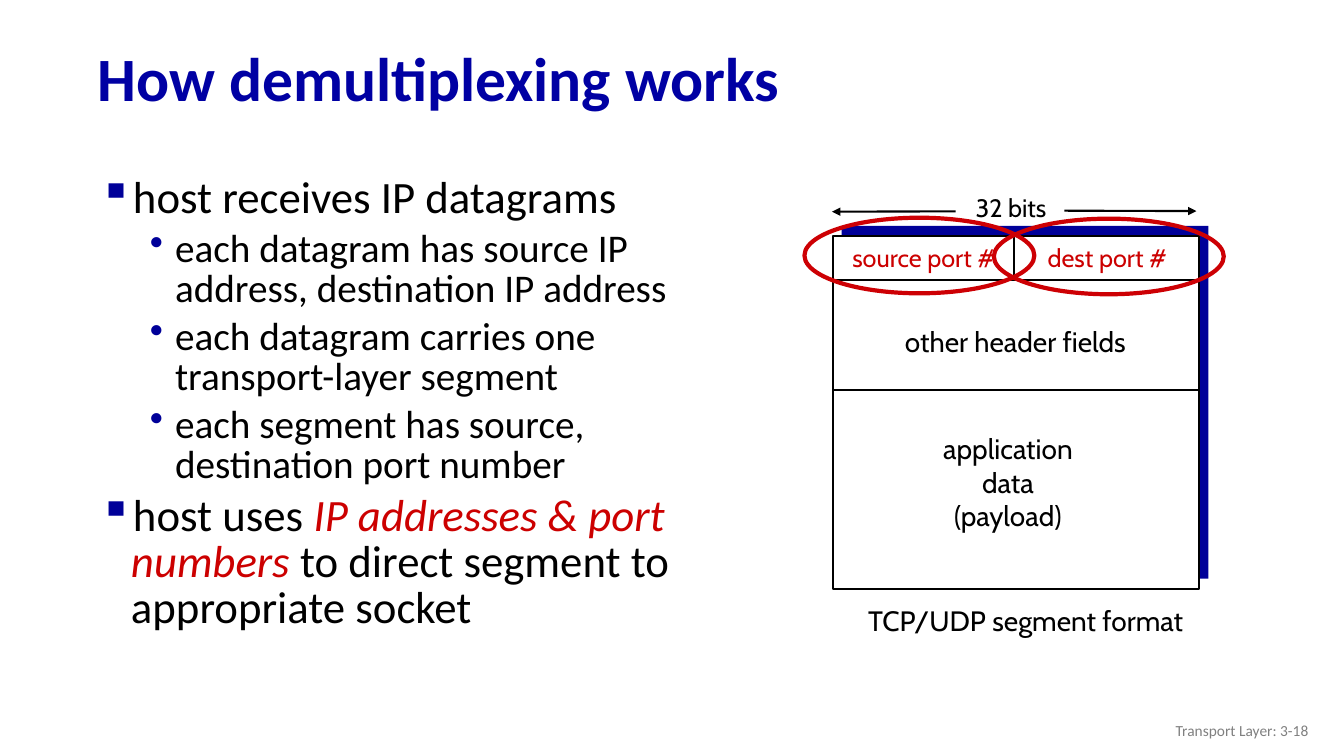
"""Build the slide on how transport-layer demultiplexing works."""
from dataclasses import dataclass

from lxml import etree
from pptx import Presentation
from pptx.dml.color import RGBColor
from pptx.enum import shapes, text
from pptx.oxml import ns
from pptx.util import Pt

BLACK, NAVY, RED, RING_RED, GRAY = "000000", "000099", "CC0000", "CD0004", "808080"
LEFT, CENTER, RIGHT = text.PP_ALIGN.LEFT, text.PP_ALIGN.CENTER, text.PP_ALIGN.RIGHT

SEGMENT_LEFT, SEGMENT_TOP, SEGMENT_WIDTH, SEGMENT_HEIGHT = 594.7, 168.5, 262, 252
SEGMENT_RIGHT = SEGMENT_LEFT + SEGMENT_WIDTH
PORTS_BOTTOM, HEADER_BOTTOM, PORT_DIVIDER = 200.2, 278.6, 724.3


@dataclass
class Label:
    words: str
    left: float
    top: float
    width: float
    height: float
    size: float
    color: str = BLACK
    font: str = "Cabin"
    align: text.PP_ALIGN = CENTER
    bold: bool = False
    wrap: bool = False
    middle: bool = False
    spacing: float = 1.0


@dataclass
class Block:
    kind: shapes.MSO_SHAPE
    left: float
    top: float
    width: float
    height: float
    fill: str | None = None
    line: str | None = None
    weight: float = 1.5


@dataclass
class Rule:
    x1: float
    y1: float
    x2: float
    y2: float
    arrow: bool = False


@dataclass
class Level:
    mark: str
    margin: float
    hanging: float
    size: float


@dataclass
class Point:
    level: Level
    runs: list[str]


MAIN = Level("▪", 22.5, 22.5, 32)
SUB = Level("•", 54, 18, 28)

POINTS = [
    Point(MAIN, ["host receives IP datagrams"]),
    Point(SUB, ["each datagram has source IP address, destination IP address"]),
    Point(SUB, ["each datagram carries one transport-layer segment"]),
    Point(SUB, ["each segment has source, destination port number"]),
    Point(MAIN, ["host uses ", "IP addresses & port numbers",
                 " to direct segment to appropriate socket"]),
]

HEADING = Label("How demultiplexing works", 62.6, 23, 874, 70.6, 44, "0000A3",
                "Calibri", LEFT, bold=True, wrap=True, middle=True, spacing=0.9)
FOOTER = Label("Transport Layer: 3-18", 725.8, 507.6, 216, 28.8, 11, GRAY,
               "Calibri", RIGHT, wrap=True, middle=True)

SEGMENT_BLOCKS = [
    Block(shapes.MSO_SHAPE.RECTANGLE, SEGMENT_LEFT + 6.5, SEGMENT_TOP - 7.2,
          SEGMENT_WIDTH, SEGMENT_HEIGHT, fill=NAVY),
    Block(shapes.MSO_SHAPE.RECTANGLE, SEGMENT_LEFT, SEGMENT_TOP,
          SEGMENT_WIDTH, SEGMENT_HEIGHT, fill="FFFFFF", line=BLACK),
]
SEGMENT_RULES = [
    Rule(SEGMENT_LEFT, PORTS_BOTTOM, SEGMENT_RIGHT, PORTS_BOTTOM),
    Rule(SEGMENT_LEFT, HEADER_BOTTOM, SEGMENT_RIGHT, HEADER_BOTTOM),
    Rule(PORT_DIVIDER, PORTS_BOTTOM, PORT_DIVIDER, SEGMENT_TOP),
    Rule(760.3, 150.5, 854.6, 150.8, arrow=True),
    Rule(682.6, 151, 594.3, 151.2, arrow=True),
]
SEGMENT_LABELS = [
    Label("source port #", 598.3, 169.9, 123.1, 28.8, 18, RED),
    Label("dest port #", 738.7, 169.9, 104.4, 28.8, 18, RED),
    Label("32 bits", 688.3, 133.9, 67.7, 28.8, 18),
    Label("application\ndata\n(payload)", 665.3, 304.6, 109.4, 79.2, 20),
    Label("other header fields", 635, 228.2, 180.7, 31, 20),
    Label("TCP/UDP segment format", 612, 427.7, 241.2, 31, 20),
]
PORT_RINGS = [
    Block(shapes.MSO_SHAPE.OVAL, left, top, 164.2, 54, line=RING_RED, weight=3)
    for left, top in ((574.6, 155.5), (709.9, 156.2))
]


def rgb(value: str) -> RGBColor:
    return RGBColor.from_string(value)


def style(font, name: str, size: float, color: str) -> None:
    font.name, font.size = name, Pt(size)
    font.color.rgb = rgb(color)


def add_label(slide, label: Label) -> None:
    box = slide.shapes.add_textbox(Pt(label.left), Pt(label.top),
                                   Pt(label.width), Pt(label.height))
    frame = box.text_frame
    frame.word_wrap = label.wrap
    if label.middle:
        frame.vertical_anchor = text.MSO_ANCHOR.MIDDLE
    frame.text = label.words
    for paragraph in frame.paragraphs:
        paragraph.alignment = label.align
        paragraph.line_spacing = label.spacing
        for run in paragraph.runs:
            style(run.font, label.font, label.size, label.color)
            run.font.bold = label.bold


def add_block(slide, block: Block) -> None:
    shape = slide.shapes.add_shape(block.kind, Pt(block.left), Pt(block.top),
                                   Pt(block.width), Pt(block.height))
    shape.shadow.inherit = False
    if block.fill:
        shape.fill.solid()
        shape.fill.fore_color.rgb = rgb(block.fill)
    else:
        shape.fill.background()
    if block.line:
        shape.line.color.rgb = rgb(block.line)
        shape.line.width = Pt(block.weight)
    else:
        shape.line.fill.background()


def add_rule(slide, rule: Rule) -> None:
    connector = slide.shapes.add_connector(
        shapes.MSO_CONNECTOR.STRAIGHT,
        Pt(rule.x1), Pt(rule.y1), Pt(rule.x2), Pt(rule.y2))
    connector.line.color.rgb = rgb(BLACK)
    connector.line.width = Pt(1.5)
    properties = connector.element.spPr
    if rule.arrow:
        outline = properties.find(ns.qn("a:ln"))
        etree.SubElement(outline, ns.qn("a:tailEnd"), type="triangle")
    etree.SubElement(properties, ns.qn("a:effectLst"))


def add_bullet(paragraph, level: Level) -> None:
    properties = paragraph._p.get_or_add_pPr()
    properties.set("marL", str(Pt(level.margin)))
    properties.set("indent", str(-Pt(level.hanging)))
    mark_color = etree.SubElement(properties, ns.qn("a:buClr"))
    etree.SubElement(mark_color, ns.qn("a:srgbClr"), val=NAVY)
    etree.SubElement(properties, ns.qn("a:buChar"), char=level.mark)


def add_points(slide, points: list[Point]) -> None:
    frame = slide.shapes.add_textbox(Pt(64), Pt(123), Pt(449.3), Pt(219.6)).text_frame
    frame.word_wrap = True
    for index, point in enumerate(points):
        paragraph = frame.add_paragraph() if index else frame.paragraphs[0]
        add_bullet(paragraph, point.level)
        paragraph.line_spacing = 0.85
        if index:
            paragraph.space_before = Pt(point.level.size * 0.2)
        for position, words in enumerate(point.runs):
            emphasized = position == 1
            run = paragraph.add_run()
            run.text = words
            style(run.font, "Calibri", point.level.size, RED if emphasized else BLACK)
            run.font.italic = emphasized


def main() -> None:
    deck = Presentation()
    deck.slide_width, deck.slide_height = Pt(960), Pt(540)
    slide = deck.slides.add_slide(deck.slide_layouts[6])
    add_label(slide, HEADING)
    add_points(slide, POINTS)
    for block in SEGMENT_BLOCKS:
        add_block(slide, block)
    for rule in SEGMENT_RULES:
        add_rule(slide, rule)
    for label in SEGMENT_LABELS:
        add_label(slide, label)
    for ring in PORT_RINGS:
        add_block(slide, ring)
    add_label(slide, FOOTER)
    deck.save("out.pptx")


if __name__ == "__main__":
    main()
